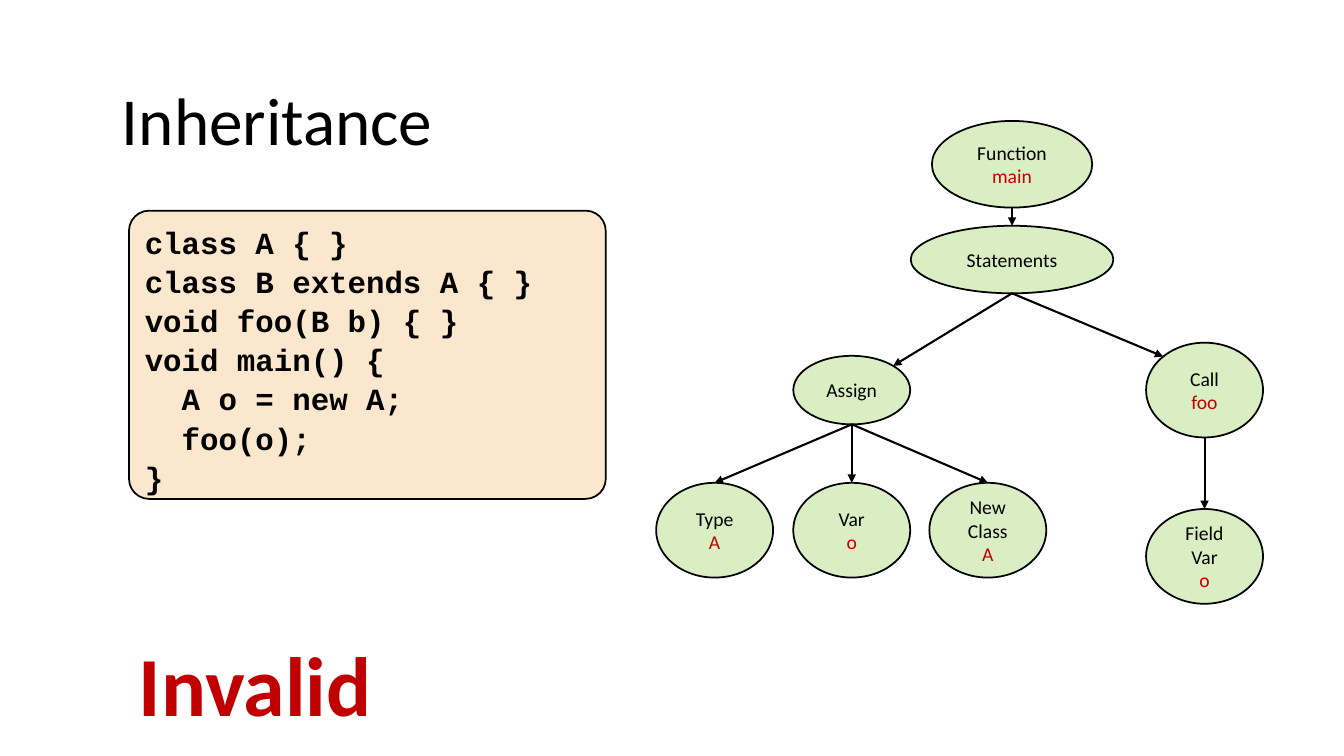
"""Build the Inheritance slide: a code listing beside its syntax tree."""
from dataclasses import dataclass
from math import sqrt

from lxml import etree
from pptx import Presentation
from pptx.dml.color import RGBColor
from pptx.enum.shapes import MSO_CONNECTOR, MSO_SHAPE
from pptx.enum.text import MSO_ANCHOR, MSO_AUTO_SIZE, PP_ALIGN
from pptx.oxml.ns import qn
from pptx.shapes.autoshape import Shape
from pptx.slide import Slide
from pptx.text.text import TextFrame
from pptx.util import Inches, Length, Pt

STRAIGHT = MSO_CONNECTOR.STRAIGHT
ELLIPSE, ROUNDED = MSO_SHAPE.OVAL, MSO_SHAPE.ROUNDED_RECTANGLE
TOP, MIDDLE = MSO_ANCHOR.TOP, MSO_ANCHOR.MIDDLE
LEFT, CENTER = PP_ALIGN.LEFT, PP_ALIGN.CENTER
NO_AUTOFIT = MSO_AUTO_SIZE.NONE

COLORS = {"black": "000000", "red": "C00000", "green": "92D050", "peach": "FBE6CE"}
SANS, MONO = "Calibri", "Courier New"
CELL = 0.1
COLS, ROWS = 133.33, 75
CODE_SIZE = 22
CODE_INDENT = Pt(2 * 0.6 * CODE_SIZE)


@dataclass(frozen=True)
class Node:
    """A tree node; entry is the side (-1, 0, 1) where its arrow arrives."""
    label: tuple[str, ...]
    value: str
    center: float
    top: float
    width: float = 11.6
    height: float = 9.4
    parent: str = ""
    entry: int = 0


@dataclass(frozen=True)
class CodeLine:
    """A line of the listing and its nesting level."""
    text: str
    level: int = 0


NODES = {
    "function": Node(("Function",), "main", 100.4, 12, 15.9, 8.6),
    "statements": Node(("Statements",), "", 100.4, 22.4, 20.1, 6.7, "function"),
    "assign": Node(("Assign",), "", 84.5, 35.3, height=6.8, parent="statements", entry=1),
    "call": Node(("Call",), "foo", 119.5, 34, parent="statements", entry=-1),
    "type": Node(("Type",), "A", 70.9, 47.9, parent="assign"),
    "var": Node(("Var",), "o", 84.5, 47.9, parent="assign"),
    "new": Node(("New", "Class"), "A", 98, 47.9, parent="assign"),
    "field": Node(("Field", "Var"), "o", 119.5, 50.5, parent="call"),
}

CODE = (
    CodeLine("class A { }"),
    CodeLine("class B extends A { }"),
    CodeLine("void foo(B b) { }"),
    CodeLine("void main() {"),
    CodeLine("A o = new A;", 1),
    CodeLine("foo(o);", 1),
    CodeLine("}"),
)


def grid(cells: float) -> Length:
    """Convert grid cells to a length."""
    return Inches(cells * CELL)


def rgb(name: str) -> RGBColor:
    """Look up a palette colour."""
    return RGBColor.from_string(COLORS[name])


def format_text(tf: TextFrame, size: float, font: str = SANS, color: str = "black",
                bold: bool = False, align: PP_ALIGN = LEFT) -> None:
    """Format every run of a text frame."""
    for p in tf.paragraphs:
        p.alignment = align
        for r in p.runs:
            r.font.size, r.font.name, r.font.bold = Pt(size), font, bold
            r.font.color.rgb = rgb(color)


def add_outlined(s: Slide, kind: MSO_SHAPE, left: float, top: float, width: float,
                 height: float, fill: str) -> Shape:
    """Add a filled shape with a thin black outline."""
    sp = s.shapes.add_shape(kind, grid(left), grid(top), grid(width), grid(height))
    sp.shadow.inherit = False
    sp.fill.solid()
    sp.fill.fore_color.rgb = rgb(fill)
    sp.line.color.rgb = rgb("black")
    sp.line.width = Pt(1.25)
    return sp


def add_node(s: Slide, node: Node) -> None:
    """Draw a translucent ellipse with its label and red value."""
    sp = add_outlined(s, ELLIPSE, node.center - node.width / 2, node.top,
                      node.width, node.height, "green")
    fill = sp.fill._xPr.find(qn("a:solidFill"))
    etree.SubElement(fill[0], qn("a:alpha"), val="34000")
    tf = sp.text_frame
    tf.vertical_anchor = MIDDLE
    tf.text = "\n".join(node.label + ((node.value,) if node.value else ()))
    format_text(tf, 14, align=CENTER)
    if node.value:
        tf.paragraphs[-1].runs[0].font.color.rgb = rgb("red")


def add_edge(s: Slide, parent: Node, child: Node) -> None:
    """Draw an arrow from the parent's bottom to the child's upper rim."""
    x, y = child.center, child.top
    if child.entry:
        x += child.entry * child.width / 2 * sqrt(0.5)
        y += child.height / 2 * (1 - sqrt(0.5))
    line = s.shapes.add_connector(STRAIGHT, grid(parent.center),
                                  grid(parent.top + parent.height), grid(x), grid(y))
    line.line.color.rgb = rgb("black")
    line.line.width = Pt(1.5)
    etree.SubElement(line.line._get_or_add_ln(), qn("a:tailEnd"), type="triangle")
    etree.SubElement(line._element.spPr, qn("a:effectLst"))


def add_title(s: Slide) -> None:
    """Place and format the title placeholder."""
    sp = s.shapes.title
    sp.left, sp.top, sp.width, sp.height = map(grid, (11.1, 7.3, 110.9, 9.1))
    tf = sp.text_frame
    tf.text = "Inheritance"
    tf.auto_size, tf.vertical_anchor, tf.word_wrap = NO_AUTOFIT, TOP, True
    format_text(tf, 48)


def add_code(s: Slide) -> None:
    """Draw the listing in its rounded panel."""
    sp = add_outlined(s, ROUNDED, 12.8, 20.9, 47.3, 28.6, "peach")
    sp.adjustments[0] = 0.07
    tf = sp.text_frame
    tf.vertical_anchor = TOP
    tf.text = "\n".join(line.text for line in CODE)
    format_text(tf, CODE_SIZE, MONO, bold=True)
    for p, line in zip(tf.paragraphs, CODE):
        p.line_spacing = 1.06
        if line.level:
            p._p.get_or_add_pPr().set("marL", str(line.level * CODE_INDENT))


def add_verdict(s: Slide) -> None:
    """Write the verdict below the listing."""
    sp = s.shapes.add_textbox(grid(12.8), grid(62.3), grid(30.6), grid(11.1))
    tf = sp.text_frame
    tf.word_wrap = True
    tf.text = "Invalid"
    format_text(tf, 60, color="red", bold=True)


def main() -> None:
    """Assemble and save the slide."""
    prs = Presentation()
    prs.slide_width, prs.slide_height = grid(COLS), grid(ROWS)
    s = prs.slides.add_slide(prs.slide_layouts.get_by_name("Title Only"))
    add_title(s)
    for node in NODES.values():
        add_node(s, node)
        if node.parent:
            add_edge(s, NODES[node.parent], node)
    add_code(s)
    add_verdict(s)
    prs.save("out.pptx")


if __name__ == "__main__":
    main()
